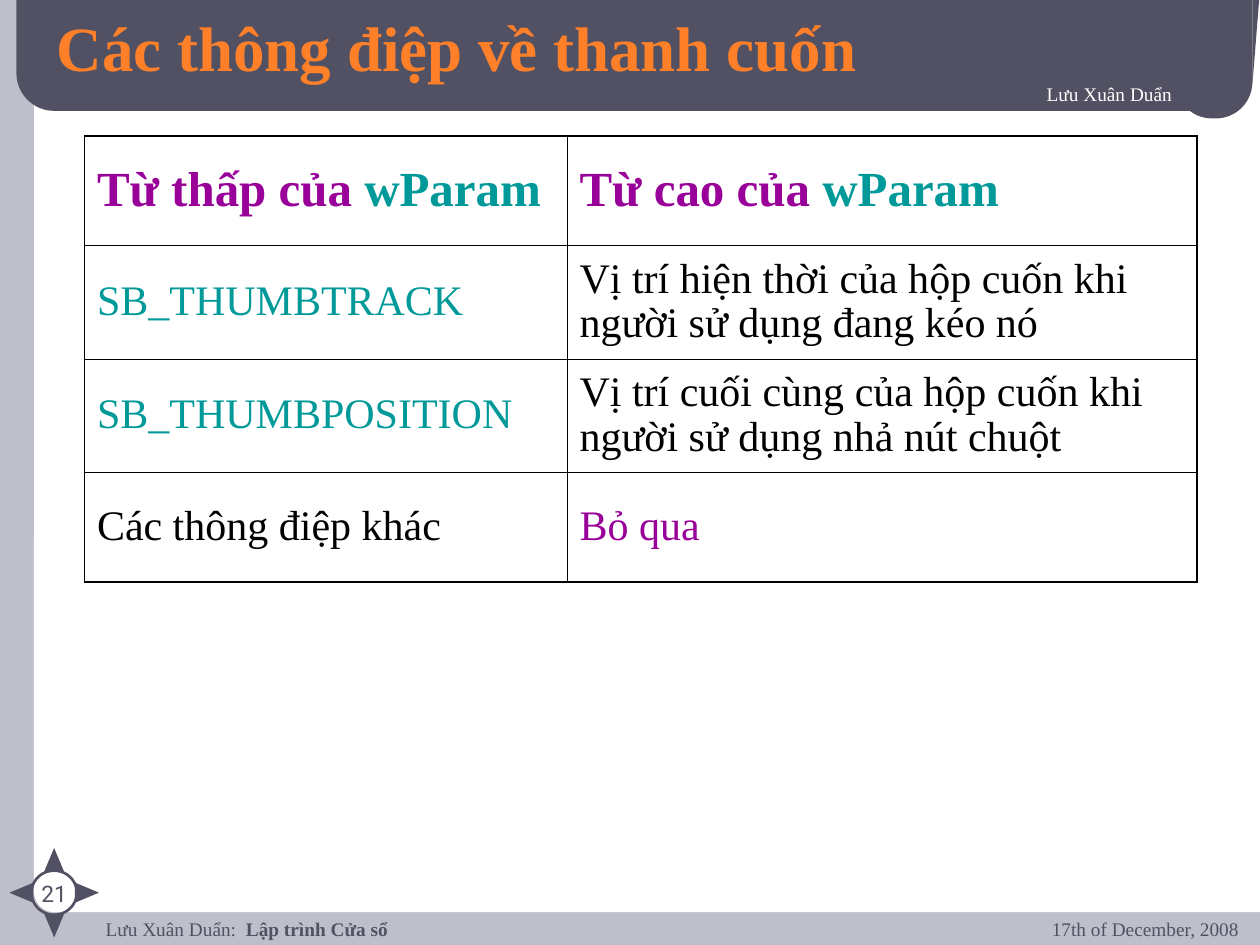
from dataclasses import dataclass

import pptx
import pptx.dml.color
import pptx.enum.shapes
import pptx.enum.text
import pptx.oxml
import pptx.oxml.ns
import pptx.util

Inches, Pt = pptx.util.Inches, pptx.util.Pt
SHAPE = pptx.enum.shapes.MSO_SHAPE
ALIGN = pptx.enum.text.PP_ALIGN
MIDDLE = pptx.enum.text.MSO_ANCHOR.MIDDLE
DRAWING_NS = pptx.oxml.ns.nsdecls("a")


@dataclass(frozen=True)
class Theme:
    slate: str = "515163"
    mist: str = "BFBFCB"
    white: str = "FFFFFF"
    black: str = "000000"
    orange: str = "FF8029"
    purple: str = "990099"
    teal: str = "009999"
    serif: str = "Times New Roman"
    sans: str = "Roboto"
    title: int = 36
    header: int = 28
    body: int = 24
    number: int = 13
    small: int = 11
    outer: float = 1.08
    inner: float = 0.45


THEME = Theme()
W, H = 10, 7.5
HEADER = [
    [("Từ thấp của ", THEME.purple), ("wParam", THEME.teal)],
    [("Từ cao của ", THEME.purple), ("wParam", THEME.teal)],
]
MESSAGES = [
    [[("SB_THUMBTRACK", THEME.teal)],
     [("Vị trí hiện thời của hộp cuốn khi người sử dụng đang kéo nó", THEME.black)]],
    [[("SB_THUMBPOSITION", THEME.teal)],
     [("Vị trí cuối cùng của hộp cuốn khi người sử dụng nhả nút chuột", THEME.black)]],
    [[("Các thông điệp khác", THEME.black)], [("Bỏ qua", THEME.purple)]],
]


def rgb(color):
    return pptx.dml.color.RGBColor.from_string(color)


def add_run(paragraph, text, size, color, bold=False, font=THEME.serif, shadow=False):
    run = paragraph.add_run()
    run.text = text
    run.font.size, run.font.bold = Pt(size), bold
    run.font.color.rgb = rgb(color)
    if shadow:
        run.font._element.append(pptx.oxml.parse_xml(
            f'<a:effectLst {DRAWING_NS}><a:outerShdw dist="25400" dir="2700000">'
            f'<a:srgbClr val="{THEME.black}"/></a:outerShdw></a:effectLst>'))
    run.font.name = font


def add_panel(slide, kind, box, fill=None, outline=None, corner=None, turn=0):
    panel = slide.shapes.add_shape(kind, *map(Inches, box))
    panel.shadow.inherit = False
    panel.rotation = turn
    if corner is not None:
        panel.adjustments[0] = corner
    if fill:
        panel.fill.solid()
        panel.fill.fore_color.rgb = rgb(fill)
    else:
        panel.fill.background()
    if outline:
        panel.line.color.rgb = rgb(outline)
        panel.line.width = Pt(1.5)
    else:
        panel.line.fill.background()
    return panel


def add_label(slide, box, align, inset=0.05):
    """Add an empty wrapped text box and return its paragraph."""
    frame = slide.shapes.add_textbox(*map(Inches, box)).text_frame
    frame.word_wrap = True
    frame.margin_top = frame.margin_bottom = Inches(inset)
    frame.paragraphs[0].alignment = align
    return frame.paragraphs[0]


def add_frame(slide):
    """White page, dark title band and its curled right end."""
    rounded = SHAPE.ROUNDED_RECTANGLE
    add_panel(slide, rounded, (0.27, -0.13, 10.01, 7.37), THEME.white, corner=0.022)
    add_panel(slide, rounded, (0.13, -0.36, 9.81, 1.24), THEME.slate, corner=0.242)
    add_panel(slide, rounded, (9.33, 0.29, 0.61, 0.65), THEME.slate, corner=0.475)
    edge = add_panel(slide, SHAPE.RIGHT_TRIANGLE, (9.94, -0.08, 0.06, 0.75), THEME.slate)
    edge._element.spPr.xfrm.set("flipV", "1")


def add_compass(slide, number):
    """Slide number in a ring with four points around it."""
    x, y, reach = 0.43, 7.085, 0.26
    label = add_label(slide, (x - 0.29, 6.93, 0.58, 0.22), ALIGN.CENTER)
    add_run(label, number, THEME.number, THEME.slate, font=THEME.sans)
    add_panel(slide, SHAPE.OVAL, (x - 0.18, y - 0.175, 0.36, 0.35), outline=THEME.slate)
    for turn, dx, dy in ((0, 0, -1), (90, 1, 0), (180, 0, 1), (270, -1, 0)):
        box = (x + dx * reach - 0.08, y + dy * reach - 0.095, 0.16, 0.19)
        add_panel(slide, SHAPE.ISOSCELES_TRIANGLE, box, THEME.slate, turn=turn)


def add_captions(slide):
    footer = add_label(slide, (0.74, 7.28, 7.74, 0.33), ALIGN.LEFT, inset=0)
    add_run(footer, "Lưu Xuân Duẩn:  ", THEME.small, THEME.slate)
    add_run(footer, "Lập trình Cửa sổ", THEME.small, THEME.slate, bold=True)
    author = add_label(slide, (3.03, 0.6, 6.37, 0.38), ALIGN.RIGHT)
    add_run(author, "Lưu Xuân Duẩn", THEME.small, THEME.white, shadow=True)
    date = add_label(slide, (7.52, 7.23, 2.41, 0.42), ALIGN.RIGHT)
    add_run(date, "17th of December, 2008", THEME.small, THEME.slate)


def set_title(slide, text):
    title = slide.shapes.title
    title.left, title.top, title.width, title.height = map(Inches, (0.35, 0.08, 8.36, 0.57))
    frame = title.text_frame
    frame.auto_size = pptx.enum.text.MSO_AUTO_SIZE.NONE
    frame.vertical_anchor = MIDDLE
    frame.paragraphs[0].alignment = ALIGN.LEFT
    add_run(frame.paragraphs[0], text, THEME.title, THEME.orange, bold=True, shadow=True)
    # Bring the title in front of the band
    title._element.getparent().append(title._element)


def set_borders(cell, outer_sides):
    properties = cell._tc.get_or_add_tcPr()
    for place, side in enumerate("LRTB"):
        width = Pt(THEME.outer if side in outer_sides else THEME.inner)
        properties.insert(place, pptx.oxml.parse_xml(
            f'<a:ln{side} {DRAWING_NS} w="{width}"><a:solidFill>'
            f'<a:srgbClr val="{THEME.black}"/></a:solidFill></a:ln{side}>'))


def add_message_table(slide):
    rows = [HEADER, *MESSAGES]
    widths, heights = (3.83, 5), (0.87, 0.9, 0.9, 0.87)
    table = slide.shapes.add_table(
        len(rows), len(widths), Inches(0.67), Inches(1.08),
        Inches(sum(widths)), Inches(sum(heights))).table
    table.first_row = table.horz_banding = False
    for column, width in zip(table.columns, widths):
        column.width = Inches(width)
    for r, (row, height) in enumerate(zip(rows, heights)):
        table.rows[r].height = Inches(height)
        size = THEME.header if r == 0 else THEME.body
        for c, pieces in enumerate(row):
            cell = table.cell(r, c)
            cell.fill.background()
            cell.vertical_anchor = MIDDLE
            paragraph = cell.text_frame.paragraphs[0]
            paragraph.space_before = Pt(size * 0.625)
            paragraph.line_spacing = 0.95
            for text, color in pieces:
                add_run(paragraph, text, size, color, bold=r == 0)
            sides = "LR"[c] + ("T" if r == 0 else "B" if r == len(rows) - 1 else "")
            set_borders(cell, sides)


def main():
    deck = pptx.Presentation()
    deck.slide_width, deck.slide_height = Inches(W), Inches(H)
    slide = deck.slides.add_slide(deck.slide_layouts[5])
    slide.background.fill.solid()
    slide.background.fill.fore_color.rgb = rgb(THEME.mist)
    add_frame(slide)
    add_compass(slide, "21")
    add_captions(slide)
    set_title(slide, "Các thông điệp về thanh cuốn")
    add_message_table(slide)
    deck.save("out.pptx")


if __name__ == "__main__":
    main()
